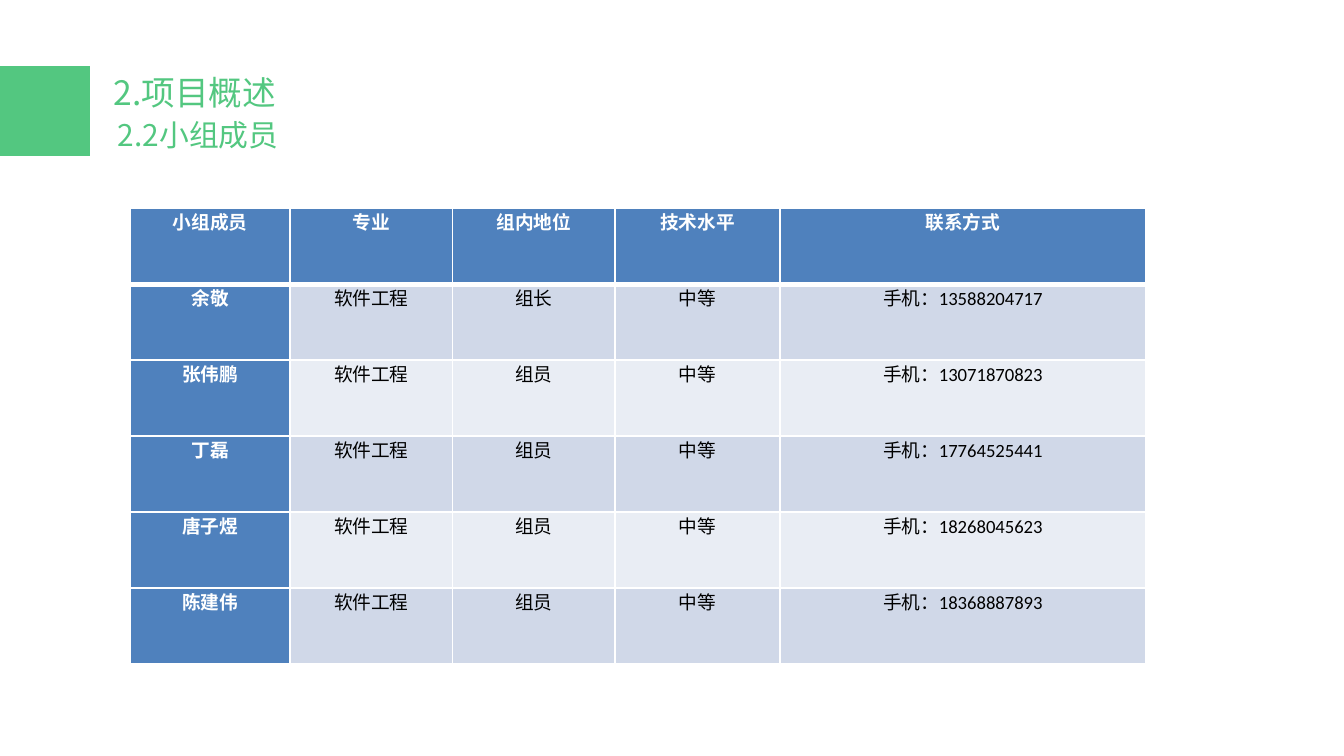
from typing import NamedTuple

from lxml import etree
from pptx import Presentation
from pptx.dml.color import RGBColor
from pptx.enum.shapes import MSO_SHAPE
from pptx.enum.text import MSO_AUTO_SIZE, PP_ALIGN
from pptx.oxml.ns import qn
from pptx.util import Cm, Pt

RECTANGLE = MSO_SHAPE.RECTANGLE
CENTER = PP_ALIGN.CENTER
GROW = MSO_AUTO_SIZE.SHAPE_TO_FIT_TEXT

GREEN, BLUE, WHITE, BLACK = "53C780", "4F81BD", "FFFFFF", "000000"
BANDS = ("D0D8E8", "E9EDF4")
CHINESE_FONT, TABLE_FONT = "Noto Sans CJK SC", "Calibri"

HEADER = ("小组成员", "专业", "组内地位", "技术水平", "联系方式")
COLUMN_WIDTHS = (3.02, 3.07, 3.07, 3.12, 6.91)
ROW_HEIGHT = 1.435


class Heading(NamedTuple):
    text: str
    left: float
    top: float
    height: float
    size: int


class Member(NamedTuple):
    name: str
    role: str
    phone: str


HEADINGS = (
    Heading("2.项目概述", 1.9, 1.24, 1.02, 18),
    Heading("2.2小组成员", 1.98, 2.08, 0.94, 16),
)
MEMBERS = (
    Member("余敬", "组长", "13588204717"),
    Member("张伟鹏", "组员", "13071870823"),
    Member("丁磊", "组员", "17764525441"),
    Member("唐子煜", "组员", "18268045623"),
    Member("陈建伟", "组员", "18368887893"),
)


def color(value: str) -> RGBColor:
    return RGBColor.from_string(value)


def style_paragraph(paragraph, font_name: str, size: int, font_color: str, bold: bool = False) -> None:
    font = paragraph.font
    font.name, font.size, font.bold = font_name, Pt(size), bold
    font.color.rgb = color(font_color)
    # Chinese characters take their font from a:ea
    latin = paragraph._p.pPr.find(qn("a:defRPr")).find(qn("a:latin"))
    east_asian = etree.Element(qn("a:ea"), typeface=CHINESE_FONT)
    latin.addnext(east_asian)


def add_heading(slide, heading: Heading) -> None:
    box = slide.shapes.add_textbox(Cm(heading.left), Cm(heading.top), Cm(4.39), Cm(heading.height))
    frame = box.text_frame
    frame.word_wrap = True
    frame.auto_size = GROW
    frame.text = heading.text
    style_paragraph(frame.paragraphs[0], CHINESE_FONT, heading.size, GREEN)


def set_borders(cell, bottom_width: int) -> None:
    properties = cell._tc.get_or_add_tcPr()
    widths = {"a:lnL": 1, "a:lnR": 1, "a:lnT": 1, "a:lnB": bottom_width}
    for index, (tag, width) in enumerate(widths.items()):
        line = etree.Element(qn(tag), w=str(Pt(width)))
        fill = etree.SubElement(line, qn("a:solidFill"))
        etree.SubElement(fill, qn("a:srgbClr"), val=WHITE)
        properties.insert(index, line)


def fill_cell(cell, text: str, fill: str, is_heading: bool, bottom_width: int) -> None:
    cell.margin_left = cell.margin_right = Cm(0.18)
    cell.margin_top = cell.margin_bottom = 0
    cell.fill.solid()
    cell.fill.fore_color.rgb = color(fill)
    cell.text = text
    paragraph = cell.text_frame.paragraphs[0]
    paragraph.alignment = CENTER
    style_paragraph(paragraph, TABLE_FONT, 10, WHITE if is_heading else BLACK, is_heading)
    set_borders(cell, bottom_width)


def add_member_table(slide) -> None:
    rows = [HEADER] + [
        (member.name, "软件工程", member.role, "中等", f"手机：{member.phone}") for member in MEMBERS
    ]
    table = slide.shapes.add_table(
        len(rows), len(HEADER), Cm(2.46), Cm(3.94), Cm(sum(COLUMN_WIDTHS)), Cm(ROW_HEIGHT * len(rows))
    ).table
    table.first_col = True
    for column, width in zip(table.columns, COLUMN_WIDTHS):
        column.width = Cm(width)
    for row_index, texts in enumerate(rows):
        for column_index, text in enumerate(texts):
            is_heading = row_index == 0 or column_index == 0
            fill = BLUE if is_heading else BANDS[(row_index - 1) % 2]
            bottom_width = 3 if row_index == 0 else 1
            fill_cell(table.cell(row_index, column_index), text, fill, is_heading, bottom_width)


def main() -> None:
    presentation = Presentation()
    presentation.slide_width, presentation.slide_height = Cm(25.4), Cm(14.29)
    slide = presentation.slides.add_slide(presentation.slide_layouts[6])

    # Green square at the slide edge
    square = slide.shapes.add_shape(RECTANGLE, 0, Cm(1.25), Cm(1.7), Cm(1.7))
    square.shadow.inherit = False
    square.fill.solid()
    square.fill.fore_color.rgb = color(GREEN)
    square.line.fill.background()

    # Section headings
    for heading in HEADINGS:
        add_heading(slide, heading)

    # Team members
    add_member_table(slide)

    presentation.save("out.pptx")


if __name__ == "__main__":
    main()
